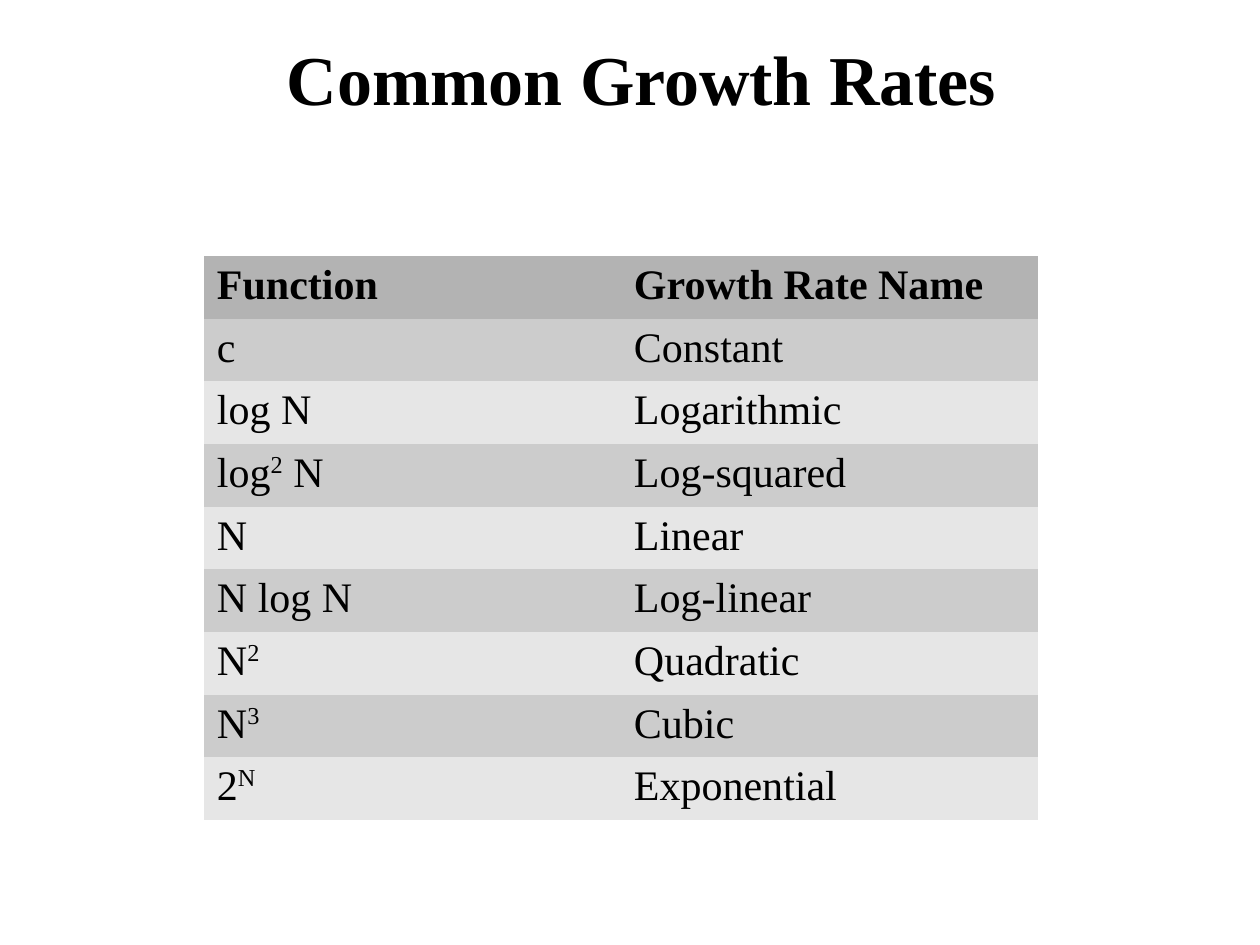
from lxml import etree
from pptx import Presentation
from pptx.dml.color import RGBColor
from pptx.enum.text import MSO_ANCHOR, PP_ALIGN
from pptx.oxml.ns import qn
from pptx.util import Pt

PX = 914400 / 126
FONT = "Times New Roman"
LEFT, CENTER = PP_ALIGN.LEFT, PP_ALIGN.CENTER
TOP, BOTTOM = MSO_ANCHOR.TOP, MSO_ANCHOR.BOTTOM
HEAD, BANDS = "B3B3B3", ("CCCCCC", "E6E6E6")
EDGES = ("a:lnL", "a:lnR", "a:lnT", "a:lnB")

# Text between carets is raised
ROWS = [
    ("Function", "Growth Rate Name"),
    ("c", "Constant"),
    ("log N", "Logarithmic"),
    ("log^2^ N", "Log-squared"),
    ("N", "Linear"),
    ("N log N", "Log-linear"),
    ("N^2^", "Quadratic"),
    ("N^3^", "Cubic"),
    ("2^N^", "Exponential"),
]


def px(n):
    return round(n * PX)


def color(code):
    return RGBColor.from_string(code)


def write(frame, text, size=24, bold=False, align=LEFT, gap=1.0, ink="000000"):
    para = frame.paragraphs[0]
    para.alignment = align
    para.line_spacing = gap
    for i, part in enumerate(text.split("^")):
        if not part:
            continue
        run = para.add_run()
        run.text = part
        font = run.font
        font.name, font.size, font.bold = FONT, Pt(size), bold
        font.color.rgb = color(ink)
        if i % 2:
            run._r.get_or_add_rPr().set("baseline", "33000")


def pad(box, left, top, right, bottom):
    box.margin_left, box.margin_top = px(left), px(top)
    box.margin_right, box.margin_bottom = px(right), px(bottom)


def edge(cell, code="FFFFFF", width=360):
    props = cell._tc.get_or_add_tcPr()
    for i, tag in enumerate(EDGES):
        line = etree.Element(qn(tag), w=str(width))
        fill = etree.SubElement(line, qn("a:solidFill"))
        etree.SubElement(fill, qn("a:srgbClr"), val=code)
        props.insert(i, line)


def add_title(slide, x, y, w, h):
    title = slide.shapes.title
    title.left, title.top, title.width, title.height = map(px, (x, y, w, h))
    frame = title.text_frame
    frame.word_wrap = True
    frame.vertical_anchor = BOTTOM
    pad(frame, 13, 6, 13, 6)
    write(frame, "Common Growth Rates ", size=40, bold=True, align=CENTER)


def add_rates(slide, x, y, w, h):
    count, width = len(ROWS), len(ROWS[0])
    table = slide.shapes.add_table(count, width, *map(px, (x, y, w, h))).table
    for col in table.columns:
        col.width = px(w / width)
    for r, row in enumerate(ROWS):
        table.rows[r].height = px(h / count)
        for c, text in enumerate(row):
            cell = table.cell(r, c)
            cell.fill.solid()
            cell.fill.fore_color.rgb = color(BANDS[(r - 1) % 2] if r else HEAD)
            cell.vertical_anchor = TOP
            pad(cell, 13, 9, 13, 6)
            edge(cell)
            write(cell.text_frame, text, bold=r == 0, gap=0.93)


def main():
    deck = Presentation()
    deck.slide_width, deck.slide_height = px(1260), px(945)
    slide = deck.slides.add_slide(deck.slide_layouts[5])
    add_title(slide, 265, 29, 753, 97)
    add_rates(slide, 204, 256, 834, 564)
    deck.save("out.pptx")


if __name__ == "__main__":
    main()
